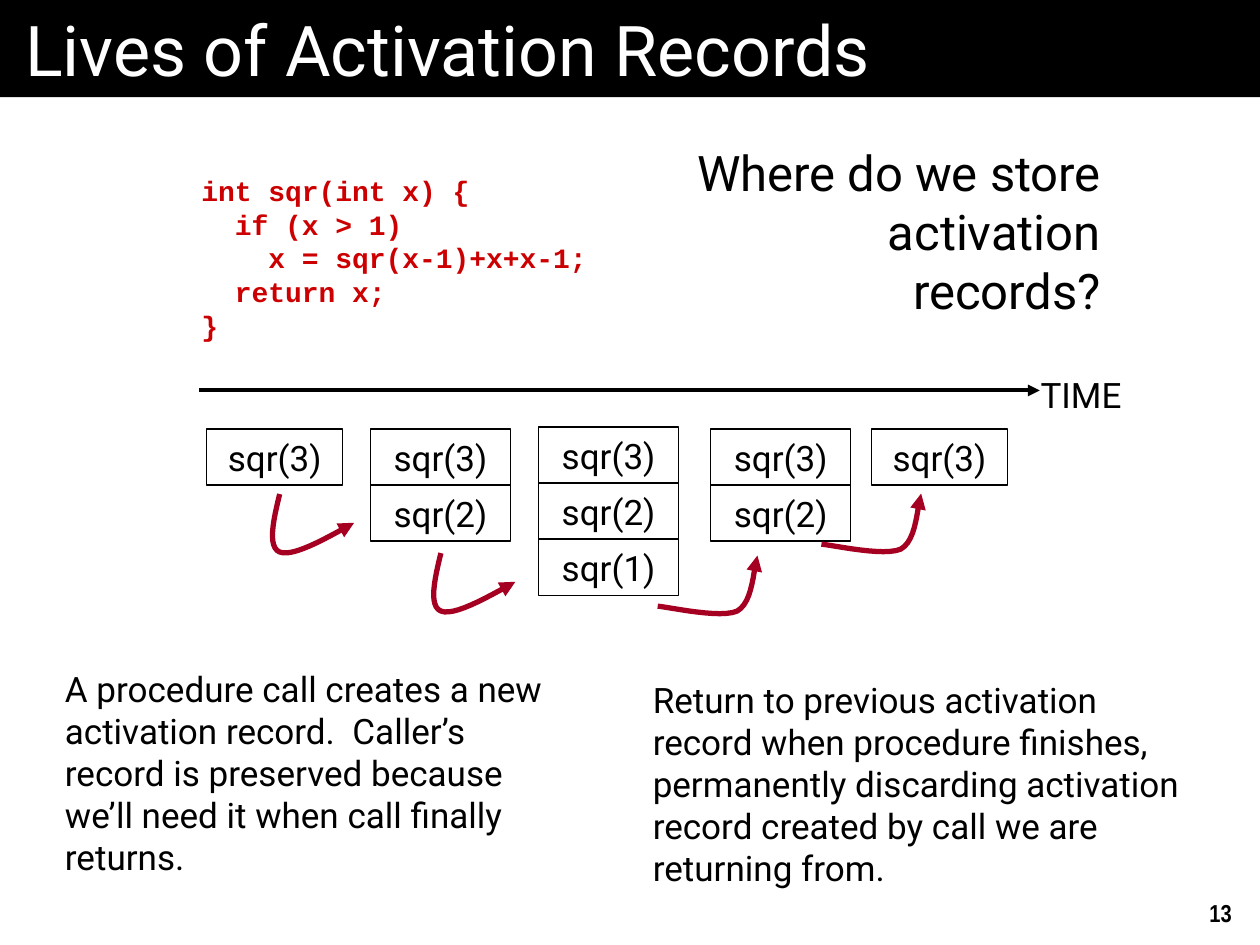
import pptx
import pptx.dml.color
import pptx.enum.shapes
import pptx.enum.text
import pptx.oxml.ns
import pptx.util
from lxml import etree

Cm = pptx.util.Cm
Pt = pptx.util.Pt
RGBColor = pptx.dml.color.RGBColor
RECTANGLE = pptx.enum.shapes.MSO_SHAPE.RECTANGLE
STRAIGHT = pptx.enum.shapes.MSO_CONNECTOR.STRAIGHT
MIDDLE = pptx.enum.text.MSO_ANCHOR.MIDDLE
TOP = pptx.enum.text.MSO_ANCHOR.TOP
LEFT = pptx.enum.text.PP_ALIGN.LEFT
CENTER = pptx.enum.text.PP_ALIGN.CENTER
RIGHT = pptx.enum.text.PP_ALIGN.RIGHT
qn = pptx.oxml.ns.qn

BLACK = RGBColor(0x00, 0x00, 0x00)
WHITE = RGBColor(0xFF, 0xFF, 0xFF)
CODE_RED = RGBColor(0xCC, 0x00, 0x00)
ARROW_RED = RGBColor(0xA5, 0x00, 0x21)


def write_text(box, text, size, align=LEFT, color=BLACK, font="Roboto", bold=False):
    box.text_frame.word_wrap = True
    para = box.text_frame.paragraphs[0]
    para.text = text
    para.alignment = align
    for span in para.runs:
        span.font.size = Pt(size)
        span.font.name = font
        span.font.bold = bold
        span.font.color.rgb = color


def style_arrow(arrow, color, width):
    arrow.line.color.rgb = color
    arrow.line.width = Pt(width)
    properties = arrow.element.spPr
    etree.SubElement(properties.find(qn("a:ln")), qn("a:tailEnd"), type="triangle")
    etree.SubElement(properties, qn("a:effectLst"))


deck = pptx.Presentation()
deck.slide_width = Cm(25.4)
deck.slide_height = Cm(19.05)
page = deck.slides.add_slide(deck.slide_layouts[6])
shapes = page.shapes

title = shapes.add_shape(RECTANGLE, 0, 0, Cm(25.4), Cm(1.96))
title.shadow.inherit = False
title.fill.solid()
title.fill.fore_color.rgb = BLACK
title.line.fill.background()
title.text_frame.margin_left = title.text_frame.margin_right = Cm(0.51)
title.text_frame.vertical_anchor = TOP
write_text(title, "Lives of Activation Records", 40, color=WHITE)

code = shapes.add_textbox(Cm(3.81), Cm(3.38), Cm(8.33), Cm(3.66))
source_code = """int sqr(int x) {
  if (x > 1)
    x = sqr(x-1)+x+x-1;
  return x;
}"""
write_text(code, source_code, 16, color=CODE_RED, font="Courier New", bold=True)
code.text_frame.word_wrap = False

labels = [
    (13.75, 2.75, 8.69, 3.84, "Where do we store activation records?", 28, RIGHT),
    (1.06, 13.33, 10.36, 4.52,
     "A procedure call creates a new activation record.  Caller’s record is "
     "preserved because we’ll need it when call finally returns.", 20, LEFT),
    (12.91, 13.55, 11.63, 4.52,
     "Return to previous activation record when procedure finishes, permanently "
     "discarding activation record created by call we are returning from.", 20, LEFT),
]
for left, top, width, height, text, size, align in labels:
    label = shapes.add_textbox(Cm(left), Cm(top), Cm(width), Cm(height))
    write_text(label, text, size, align)

time_axis = shapes.add_connector(STRAIGHT, Cm(4.01), Cm(7.87), Cm(20.96), Cm(7.87))
style_arrow(time_axis, BLACK, 2.25)

time_label = shapes.add_textbox(Cm(20.73), Cm(7.4), Cm(2.13), Cm(1.12))
write_text(time_label, "TIME", 20, RIGHT)
time_label.text_frame.margin_left = 0
time_label.text_frame.word_wrap = False

record_height = 1.13
stacks = [
    (4.17, 8.65, 2.74, 1),
    (7.47, 8.65, 2.82, 2),
    (10.86, 8.61, 2.82, 3),
    (14.33, 8.65, 2.82, 2),
    (17.57, 8.65, 2.74, 1),
]
for left, top, width, depth in stacks:
    for level in range(depth):
        record = shapes.add_shape(
            RECTANGLE, Cm(left), Cm(top + level * record_height), Cm(width), Cm(record_height)
        )
        record.shadow.inherit = False
        record.fill.background()
        record.line.color.rgb = BLACK
        record.line.width = Pt(0.75)
        record.text_frame.vertical_anchor = MIDDLE
        write_text(record, f"sqr({3 - level})", 20, CENTER)

call_curve = [(0, 0), (-0.13, 0.53), (-0.25, 1.07), (0, 1.17),
              (0.25, 1.27), (0.86, 0.94), (1.5, 0.58)]
return_curve = [(0, 0), (0.28, 0.03), (1.27, 0.25), (1.6, 0.1),
                (1.93, -0.08), (1.93, -0.79), (2.01, -1.02)]
curved_arrows = [
    (5.64, 9.96, call_curve),
    (8.89, 11.15, call_curve),
    (13.26, 12.22, return_curve),
    (16.56, 10.97, return_curve),
]
steps = 12
for left, top, curve in curved_arrows:
    points = []
    for first in (0, 3):
        controls = curve[first:first + 4]
        for step in range(1, steps + 1):
            t = step / steps
            weights = ((1 - t) ** 3, 3 * t * (1 - t) ** 2, 3 * t ** 2 * (1 - t), t ** 3)
            x = sum(weight * control[0] for weight, control in zip(weights, controls))
            y = sum(weight * control[1] for weight, control in zip(weights, controls))
            points.append((Cm(left + x), Cm(top + y)))
    builder = shapes.build_freeform(Cm(left), Cm(top))
    builder.add_line_segments(points, close=False)
    arrow = builder.convert_to_shape()
    arrow.fill.background()
    style_arrow(arrow, ARROW_RED, 3)

page_number = shapes.add_textbox(Cm(24.13), Cm(17.98), Cm(1.07), Cm(0.84))
write_text(page_number, "13", 14, font="Arial Narrow", bold=True)

deck.save("out.pptx")
